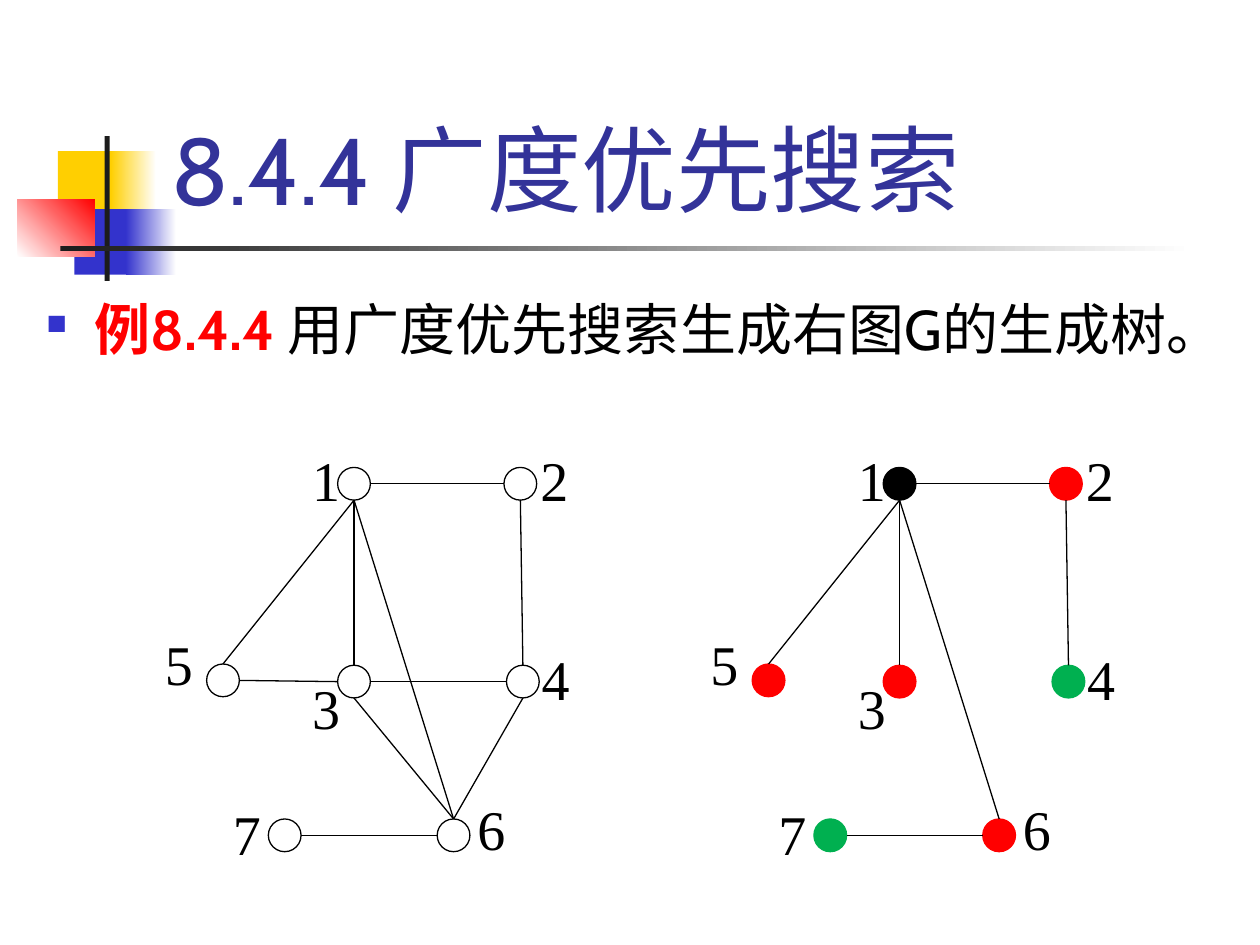
from lxml.etree import SubElement
from pptx import Presentation
from pptx.dml.color import RGBColor
from pptx.enum.shapes import MSO_CONNECTOR, MSO_SHAPE
from pptx.enum.text import MSO_ANCHOR, PP_ALIGN
from pptx.oxml.ns import qn
from pptx.util import Inches, Pt


def color(value):
    return RGBColor.from_string(value)


def add_filled(shapes, kind, place, fill, line=None):
    shape = shapes.add_shape(kind, *[Inches(value) for value in place])
    shape.shadow.inherit = False
    shape.fill.solid()
    shape.fill.fore_color.rgb = color(fill)
    if line:
        shape.line.color.rgb = color(line)
        shape.line.width = Pt(0.75)
    else:
        shape.line.fill.background()
    return shape


deck = Presentation()
deck.slide_width = Inches(10)
deck.slide_height = Inches(7.5)
page = deck.slides.add_slide(deck.slide_layouts[6])

decorations = [
    ((0.46, 1.2, 0.48, 0.52), "FFCF01", None, 0),
    ((0.88, 1.2, 0.36, 0.52), "FFCF01", "FFFFFF", 0),
    ((0.59, 1.66, 0.46, 0.52), "3333CC", None, 0),
    ((1, 1.66, 0.4, 0.52), "3333CC", "FFFFFF", 0),
    ((0.14, 1.58, 0.61, 0.46), "FFFFFF", "FF0000", 45),
    ((0.83, 1.08, 0.04, 1.15), "1C1C1C", None, 0),
    ((0.48, 1.95, 9, 0.04), "1C1C1C", "FFFFFF", 0),
]
for place, start, end, angle in decorations:
    shape = add_filled(page.shapes, MSO_SHAPE.RECTANGLE, place, start)
    if end:
        shape.fill.gradient()
        shape.fill.gradient_angle = angle
        for stop, position, value in zip(shape.fill.gradient_stops, (0, 1), (start, end)):
            stop.position = position
            stop.color.rgb = color(value)

title = page.shapes.add_textbox(Inches(1.26), Inches(0.23), Inches(8.52), Inches(1.6))
title.text_frame.word_wrap = True
title.text_frame.vertical_anchor = MSO_ANCHOR.BOTTOM
title.text_frame.text = "8.4.4 广度优先搜索"
font = title.text_frame.paragraphs[0].runs[0].font
font.name = "Cabin"
font.size = Pt(54)
font.color.rgb = color("333399")

body = page.shapes.add_textbox(Inches(0.27), Inches(2.02), Inches(9.3), Inches(5.48))
body.text_frame.word_wrap = True
para = body.text_frame.paragraphs[0]
para.line_spacing = 1.5
properties = para._p.get_or_add_pPr()
properties.set("marL", str(Inches(0.38)))
properties.set("indent", str(-Inches(0.38)))
bullet_color = SubElement(properties, qn("a:buClr"))
SubElement(bullet_color, qn("a:srgbClr"), val="3333CC")
SubElement(properties, qn("a:buSzPct"), val="50000")
SubElement(properties, qn("a:buChar"), char="■")
for text, value, bold in [
    ("例8.4.4 ", "FF0000", True),
    ("用广度优先搜索生成右图G的生成树。", "000000", False),
]:
    span = para.add_run()
    span.text = text
    span.font.name = "Cabin"
    span.font.size = Pt(32)
    span.font.bold = bold
    span.font.color.rgb = color(value)

labels = {
    "7": (1.75, 6.3), "6": (3.69, 6.26), "2": (4.19, 3.49), "4": (4.2, 5.07),
    "3": (2.38, 5.3), "1": (2.38, 3.49), "5": (1.21, 4.95),
}
centers = {
    "1": (2.81, 3.84), "2": (4.13, 3.84), "3": (2.81, 5.41), "4": (4.15, 5.41),
    "5": (1.77, 5.4), "6": (3.6, 6.63), "7": (2.26, 6.63),
}
radius = 0.13
level_colors = {
    "1": "000000", "2": "FF0000", "3": "FF0000", "5": "FF0000",
    "6": "FF0000", "4": "00B050", "7": "00B050",
}
tree_edges = ["12", "15", "13", "16", "24", "76"]
graph_edges = tree_edges + ["53", "34", "46", "36"]

for offset, edges, node_colors in [(0, graph_edges, {}), (4.33, tree_edges, level_colors)]:
    shapes = page.shapes.add_group_shape().shapes
    for name, (left, top) in labels.items():
        place = (left + offset, top, 0.87, 0.76)
        label = add_filled(shapes, MSO_SHAPE.RECTANGLE, place, "FFFFFF", "FFFFFF")
        label.text_frame.text = name
        label.text_frame.vertical_anchor = MSO_ANCHOR.TOP
        para = label.text_frame.paragraphs[0]
        para.alignment = PP_ALIGN.LEFT
        font = para.runs[0].font
        font.name = "Times New Roman"
        font.size = Pt(32)
        font.color.rgb = color("000000")
    for name, (x, y) in centers.items():
        place = (x + offset - radius, y - radius, 2 * radius, 2 * radius)
        fill = node_colors.get(name, "FFFFFF")
        add_filled(shapes, MSO_SHAPE.OVAL, place, fill, node_colors.get(name, "000000"))
    for start, end in edges:
        x1, y1 = centers[start]
        x2, y2 = centers[end]
        if abs(y2 - y1) < radius:
            x1, x2 = x1 + radius, x2 - radius
        else:
            y1, y2 = y1 + radius, y2 - radius
        points = (x1 + offset, y1, x2 + offset, y2)
        edge = shapes.add_connector(MSO_CONNECTOR.STRAIGHT, *[Inches(value) for value in points])
        edge.line.color.rgb = color("000000")
        edge.line.width = Pt(0.75)
        SubElement(edge._element.spPr, qn("a:effectLst"))

deck.save("out.pptx")
